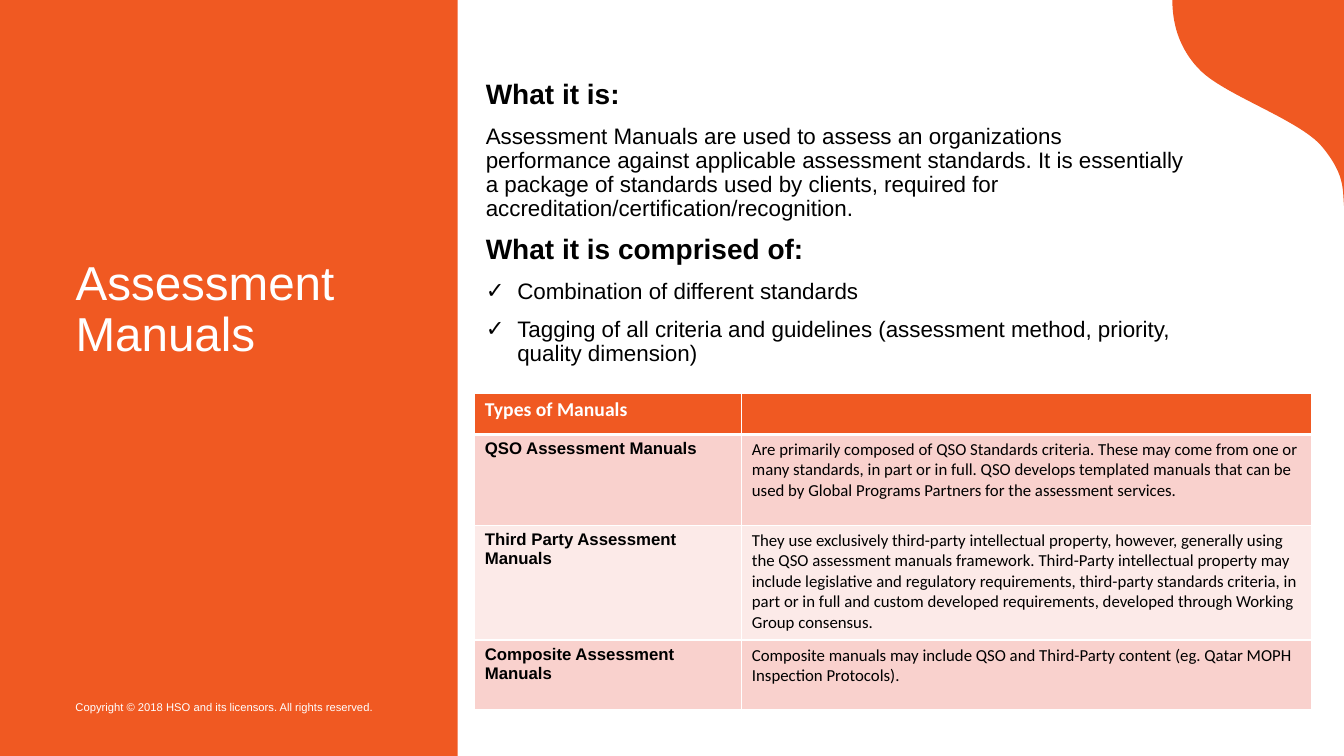
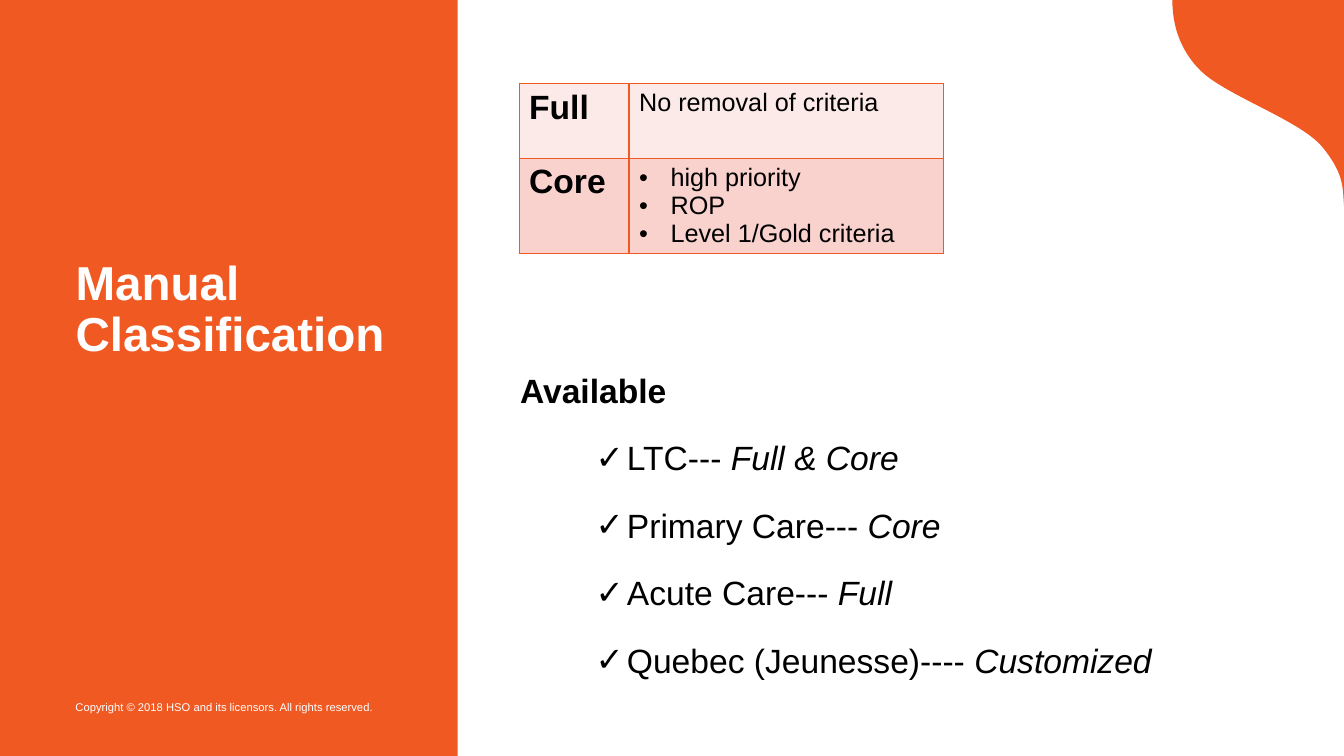
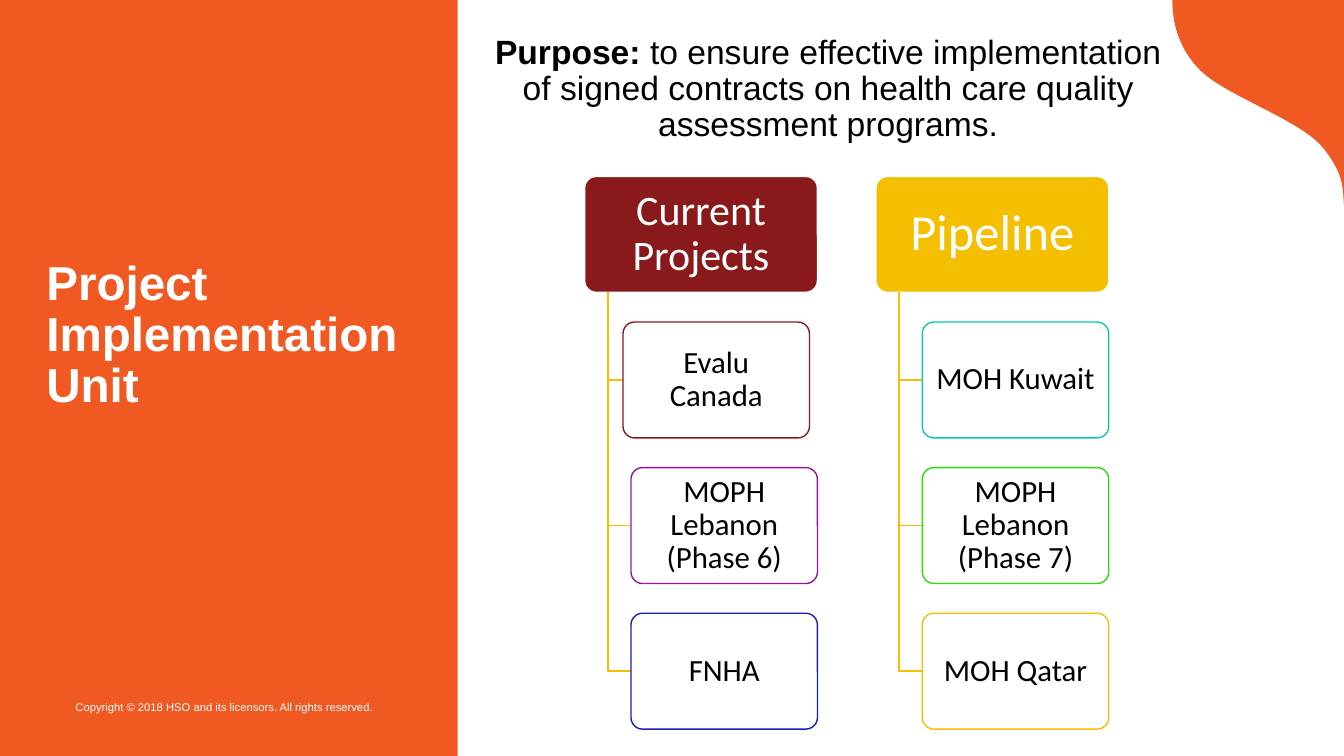
from lxml import etree
from pptx import Presentation
from pptx.dml.color import RGBColor
from pptx.enum.shapes import MSO_SHAPE
from pptx.enum.text import MSO_ANCHOR, MSO_AUTO_SIZE, PP_ALIGN
from pptx.oxml.ns import qn
from pptx.util import Pt

RECT, ROUND = MSO_SHAPE.RECTANGLE, MSO_SHAPE.ROUNDED_RECTANGLE
TOP, MIDDLE, BOTTOM = MSO_ANCHOR.TOP, MSO_ANCHOR.MIDDLE, MSO_ANCHOR.BOTTOM
LEFT, CENTER = PP_ALIGN.LEFT, PP_ALIGN.CENTER
FIXED = MSO_AUTO_SIZE.NONE

ORANGE, ROSE, BLUSH = "F05922", "F9D1CD", "FCEAE8"
WHITE, BLACK, GOLD, MAROON = "FFFFFF", "000000", "F4BF01", "8A191B"
TIGHT = {"line_spacing": 0.9}
BOLD, SLANT = {"bold": True}, {"italic": True}


def hue(code):
    return RGBColor.from_string(code)


def write(frame, lines, font, para):
    for n, (form, runs) in enumerate(lines):
        par = frame.paragraphs[0] if n == 0 else frame.add_paragraph()
        form = {"alignment": LEFT, "space_before": Pt(0), **para, **form}
        mark = form.pop("mark", None)
        left, hang = form.pop("indent", (0, 0))
        props = par._p.get_or_add_pPr()
        props.set("marL", str(Pt(left)))
        props.set("indent", str(Pt(-hang)))
        if mark:
            etree.SubElement(props, qn("a:buFont")).set("typeface", "Arial")
            etree.SubElement(props, qn("a:buChar")).set("char", mark)
        else:
            etree.SubElement(props, qn("a:buNone"))
        if n == 0:
            form["space_before"] = Pt(0)
        for key, value in form.items():
            setattr(par, key, value)
        for text, extra in runs:
            if text == "\n":
                par.add_line_break()
                continue
            run = par.add_run()
            run.text = text
            look = {"name": "Arial", "color": BLACK, **font, **extra}
            run.font.color.rgb = hue(look.pop("color"))
            for key, value in look.items():
                setattr(run.font, key, value)


deck = Presentation()
deck.slide_width, deck.slide_height = Pt(960), Pt(540)
layout = deck.slide_layouts[1]

title = layout.placeholders[0]
title.left, title.top, title.width, title.height = [Pt(v) for v in (46.8, 181.4, 263.5, 157)]
slides = [deck.slides.add_slide(layout) for _ in range(3)]

shapes = slides[0].shapes
curves = [
    [(960, 146.9), (959, 134.6), (960.5, 124.6), (944.6, 105.1)],
    [(944.6, 105.1), (929.5, 86.4), (876.2, 68.4), (858.2, 51.1)],
    [(858.2, 51.1), (840.2, 33.8), (837.4, 13), (837.4, 0)],
]
edge = [(960, 0), (960, 146.9)]
for a, b, c, d in curves:
    for step in range(1, 21):
        t = step / 20
        u = 1 - t
        edge.append([
            u**3 * a[i] + 3 * u * u * t * b[i] + 3 * u * t * t * c[i] + t**3 * d[i]
            for i in (0, 1)
        ])
pen = shapes.build_freeform(Pt(837.4), Pt(0))
pen.add_line_segments([(Pt(x), Pt(y)) for x, y in edge])
curl = pen.convert_to_shape()
band = shapes.add_shape(RECT, 0, 0, Pt(327), Pt(540))
for part in (curl, band):
    part.shadow.inherit = False
    part.fill.solid()
    part.fill.fore_color.rgb = hue(ORANGE)
    part.line.fill.background()
note = shapes.add_textbox(Pt(46.8), Pt(496.8), Pt(229.7), Pt(17.3))
note.text_frame.word_wrap = False
legal = "Copyright © 2018 HSO and its licensors. All rights reserved."
write(note.text_frame, [({}, [(legal, {})])], {"size": Pt(8), "color": WHITE}, {})
for n, part in enumerate((curl, band, note)):
    layout.shapes.element.insert(2 + n, part.element)

check = {"mark": "✓", "indent": (22.5, 22.5)}
deep = {"mark": "✓", "indent": (76.3, 22.3), "level": 1, "line_spacing": 1.5, "space_before": Pt(5)}
big, mid = {"size": Pt(20), "bold": True}, {"size": Pt(16)}
offers = [
    ("LTC--- ", "Full & Core"),
    ("Primary Care--- ", "Core"),
    ("Acute Care--- ", "Full"),
    ("Quebec (Jeunesse)---- ", "Customized"),
]
pages = [
    ([("Assessment Manuals", {})], (339.8, 54, 515.5, 231.1), TOP, [
        ({}, [("What it is:", big)]),
        ({}, [("Assessment Manuals are used to assess an organizations performance against applicable "
               "assessment standards. It is essentially a package of standards used by clients, required "
               "for accreditation/certification/recognition.", mid)]),
        ({}, [("What it is comprised of:", big)]),
        (check, [("Combination of different standards", mid)]),
        (check, [("Tagging of all criteria and guidelines (assessment method, priority, "
                  "quality dimension)", mid)]),
    ]),
    ([("Manual Classification", BOLD)], (364.3, 263.5, 498.2, 276.5), TOP,
     [({}, [("Available", BOLD)])] + [(deep, [(name, {}), (kind, SLANT)]) for name, kind in offers]),
    ([("Project Implementation", BOLD), ("\n", {}), ("Unit", BOLD)], (333.4, 19.4, 516.2, 87.1), BOTTOM, [
        ({"alignment": CENTER}, [
            ("Purpose: ", BOLD),
            ("to ensure effective implementation of signed contracts on health care quality "
             "assessment programs.", {}),
        ]),
    ]),
]
for slide, (head, place, anchor, lines) in zip(slides, pages):
    title, body = slide.placeholders
    body.left, body.top, body.width, body.height = [Pt(v) for v in place]
    for box, side in ((title, TOP), (body, anchor)):
        box.text_frame.auto_size = FIXED
        box.text_frame.vertical_anchor = side
    write(title.text_frame, [({}, head)], {"size": Pt(34), "color": WHITE}, TIGHT)
    write(body.text_frame, lines, {"size": Pt(24)}, {**TIGHT, "space_before": Pt(10)})

title = slides[2].shapes.title
title.left, title.top, title.width, title.height = [Pt(v) for v in (25.9, 181.4, 284.4, 157)]

top = {"name": "Calibri", "size": Pt(14), "bold": True, "color": WHITE}
label, prose = {"size": Pt(12), "bold": True}, {"size": Pt(12), "name": "Calibri"}
key, plain = {"size": Pt(24), "bold": True}, {"size": Pt(18)}
dot = {"mark": "•", "indent": (22.5, 22.5)}
kinds = [
    ("QSO Assessment Manuals",
     "Are primarily composed of QSO Standards criteria. These may come from one or many standards, "
     "in part or in full. QSO develops templated manuals that can be used by Global Programs Partners "
     "for the assessment services."),
    ("Third Party Assessment Manuals",
     "They use exclusively third-party intellectual property, however, generally using the QSO "
     "assessment manuals framework. Third-Party intellectual property may include legislative and "
     "regulatory requirements, third-party standards criteria, in part or in full and custom developed "
     "requirements, developed through Working Group consensus."),
    ("Composite Assessment Manuals",
     "Composite manuals may include QSO and Third-Party content (eg. Qatar MOPH Inspection Protocols)."),
]
grids = [
    (slides[0], (339.1, 280.8), (190.8, 406.8), (29.5, 64.8, 82.1, 50), WHITE, (ORANGE, ROSE, BLUSH, ROSE),
     [[[({}, [("Types of Manuals", top)])], []]]
     + [[[({}, [(name, label)])], [({}, [(text, prose)])]] for name, text in kinds]),
    (slides[1], (370.8, 59.8), (78.5, 224.6), (53.3, 68), ORANGE, (BLUSH, ROSE), [
        [[({}, [("Full", key)])], [({}, [("No removal of criteria", plain)])]],
        [[({}, [("Core", key)])],
         [(dot, [(text, plain)]) for text in ("high priority", "ROP", "Level 1/Gold criteria")]],
    ]),
]
for slide, (x, y), wide, tall, rule, fills, rows in grids:
    frame = slide.shapes.add_table(len(tall), len(wide), Pt(x), Pt(y), Pt(sum(wide)), Pt(sum(tall)))
    table = frame.table
    table.first_row = table.horz_banding = False
    for col, width in zip(table.columns, wide):
        col.width = Pt(width)
    for r, row in enumerate(rows):
        table.rows[r].height = Pt(tall[r])
        for c, lines in enumerate(row):
            cell = table.cell(r, c)
            write(cell.text_frame, lines, {}, {})
            props = cell._tc.get_or_add_tcPr()
            for side in "LRTB":
                seam = (r, side) in ((0, "B"), (1, "T")) and rule == WHITE
                line = etree.SubElement(props, qn("a:ln" + side), w=str(Pt(3 if seam else 1)))
                paint = etree.SubElement(line, qn("a:solidFill"))
                etree.SubElement(paint, qn("a:srgbClr"), val=rule)
            cell.fill.solid()
            cell.fill.fore_color.rgb = hue(fills[r])

shapes = slides[2].shapes
START, STEP, HIGH, WIDE, SLIM = 126, 104, 82.8, 166.3, 133.2
trees = [
    (417.6, "Current Projects", 30, MAROON, [
        ("Evalu Canada", MAROON, 27.4),
        ("MOPH Lebanon (Phase 6)", "95169D", 33.1),
        ("FNHA", "1222B1", 33.1),
    ]),
    (625.7, "Pipeline", 36, GOLD, [
        ("MOH Kuwait", "0EC7AD", 33.1),
        ("MOPH Lebanon (Phase 7)", "2EDD08", 33.1),
        ("MOH Qatar", GOLD, 33.1),
    ]),
]
for x, head, size, tone, leaves in trees:
    cards = [(head, x, WIDE, tone, WHITE, WHITE, size)]
    cards += [(text, x + shift, SLIM, WHITE, edge, BLACK, 22) for text, edge, shift in leaves]
    for n, (text, left, width, fill, edge, ink, size) in enumerate(cards):
        y = START + STEP * n
        if n:
            stem, mid = Pt(x + 16.6), Pt(y + HIGH / 2)
            pen = shapes.build_freeform(stem, Pt(START + HIGH))
            pen.add_line_segments([(stem, mid), (Pt(left), mid)], close=False)
            elbow = pen.convert_to_shape()
            elbow.shadow.inherit = False
            elbow.fill.background()
            elbow.line.color.rgb = hue(GOLD)
            elbow.line.width = Pt(1)
        card = shapes.add_shape(ROUND, Pt(left), Pt(y), Pt(width), Pt(HIGH))
        card.adjustments[0] = 0.1
        card.shadow.inherit = False
        card.fill.solid()
        card.fill.fore_color.rgb = hue(fill)
        card.line.color.rgb = hue(edge)
        card.line.width = Pt(1)
        frame = card.text_frame
        inset = {"margin_left": 6, "margin_right": 6, "margin_top": 5, "margin_bottom": 5}
        for name, value in inset.items():
            setattr(frame, name, Pt(value))
        frame.word_wrap = True
        frame.vertical_anchor = MIDDLE
        font = {"name": "Calibri", "size": Pt(size), "color": ink}
        write(frame, [({}, [(text, {})])], font, {**TIGHT, "alignment": CENTER})

deck.save("out.pptx")
